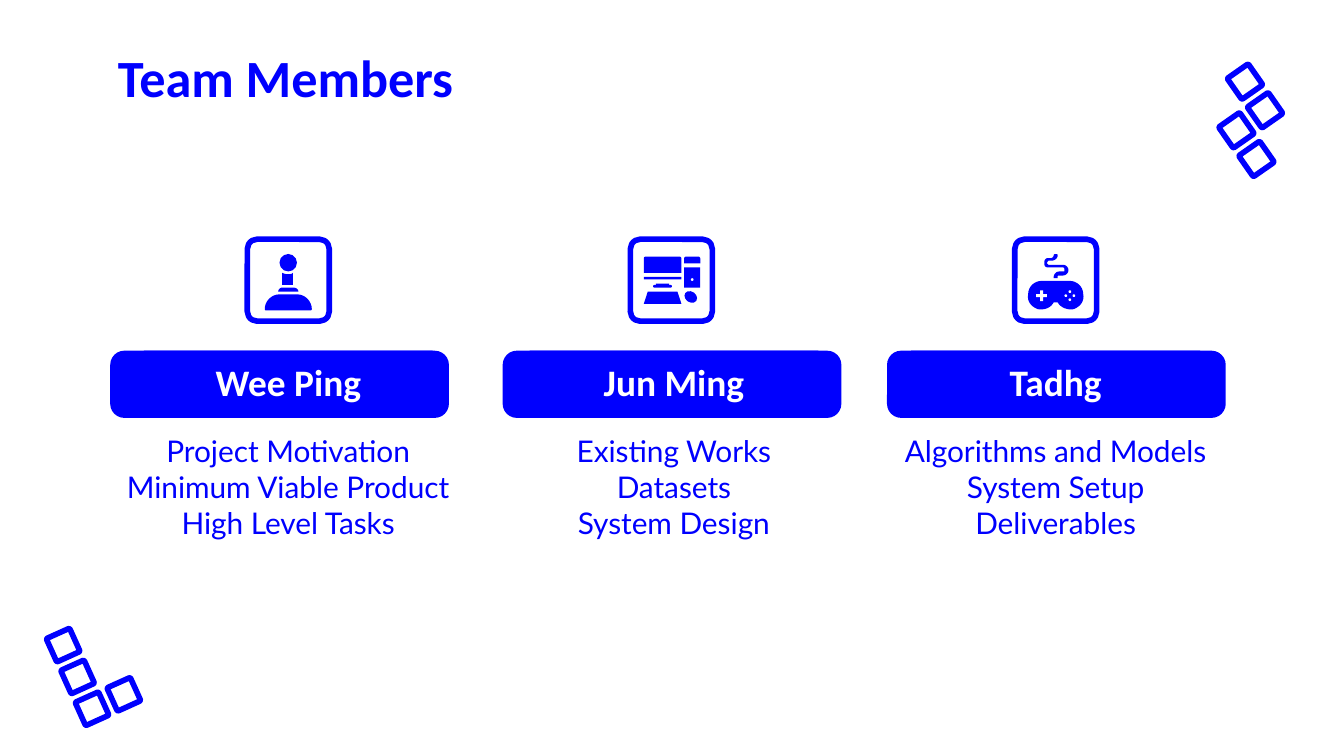
import math
from pptx import Presentation
from pptx.dml.color import RGBColor
from pptx.enum import shapes, text
from pptx.util import Emu, Inches, Pt

BLUE = RGBColor(0x00, 0x00, 0xFE)
WHITE = RGBColor(0xFF, 0xFF, 0xFF)
KIND = shapes.MSO_SHAPE
CENTER = text.PP_ALIGN.CENTER

# Icon outlines in hundredths of an inch: pairs are lines, sixes are curves
COLLAR = [(26, 36), (25, 36, 23, 37, 23, 39), (38, 39), (38, 37, 36, 36, 34, 36)]
BASE = [(24, 41), (18, 41, 13, 46, 13, 52), (13, 53, 14, 53, 14, 53), (46, 53),
        (47, 53, 48, 53, 48, 52), (48, 46, 43, 41, 37, 41)]
NECK = [(26, 25), (26, 34), (34, 34), (34, 25), (33, 26, 32, 26, 30, 26),
        (29, 26, 28, 26, 26, 25)]
GAMEPAD = [(41, 31), (20, 31), (15, 31, 10, 35, 10, 41), (9, 46, 12, 50, 17, 52),
           (22, 53, 27, 51, 29, 47), (32, 47), (34, 51, 40, 53, 44, 52),
           (49, 50, 52, 46, 51, 41), (51, 35, 46, 31, 41, 31)]
CABLE = [(25, 21), (36, 21), (37, 21, 37, 22, 37, 23), (37, 24, 37, 24, 36, 24),
         (33, 24), (31, 24, 29, 26, 29, 28), (29, 29), (32, 29), (32, 28),
         (32, 27, 32, 27, 33, 27), (36, 27), (38, 27, 40, 25, 40, 23),
         (40, 21, 38, 19, 36, 19), (25, 19), (25, 19, 24, 18, 24, 18),
         (24, 17, 25, 16, 25, 16), (27, 16), (30, 16, 32, 14, 32, 12),
         (32, 11, 31, 11, 31, 11), (30, 11, 29, 11, 29, 12),
         (29, 13, 28, 14, 27, 14), (25, 14), (23, 14, 22, 15, 22, 18),
         (22, 20, 23, 21, 25, 21)]


def paint(shape, color):
    shape.shadow.inherit = False
    shape.fill.solid()
    shape.fill.fore_color.rgb = color
    shape.line.fill.background()


def add_solid(slide, kind, left, top, width, height, color=BLUE, adj=None):
    shape = slide.shapes.add_shape(
        kind, Inches(left), Inches(top), Inches(width), Inches(height))
    paint(shape, color)
    if adj is not None:
        shape.adjustments[0] = adj
    return shape


def add_frame(slide, left, top, side, adj, rotation=0):
    frame = add_solid(slide, KIND.ROUNDED_RECTANGLE, left, top, side, side, adj=adj)
    frame.fill.background()
    frame.line.color.rgb = BLUE
    frame.line.width = Pt(3)
    frame.rotation = rotation


def add_outline(slide, left, top, outline):
    points = [outline[0]]
    for step in outline[1:]:
        if len(step) == 2:
            points.append(step)
            continue
        corners = [points[-1], step[:2], step[2:4], step[4:]]
        for t in (i / 8 for i in range(1, 9)):
            weights = [math.comb(3, n) * t**n * (1 - t)**(3 - n) for n in range(4)]
            points.append(tuple(sum(w * c[axis] for w, c in zip(weights, corners))
                                for axis in (0, 1)))
    spots = [(Inches(left + x / 100), Inches(top + y / 100)) for x, y in points]
    builder = slide.shapes.build_freeform(*spots[0], scale=1.0)
    builder.add_line_segments(spots[1:], close=True)
    paint(builder.convert_to_shape(Emu(0), Emu(0)), BLUE)


def write(shape, lines, font, size, color, bold=False, align=None,
          anchor=text.MSO_ANCHOR.TOP):
    frame = shape.text_frame
    frame.word_wrap = True
    frame.vertical_anchor = anchor
    frame.margin_left = frame.margin_right = Inches(0.1)
    frame.margin_top = frame.margin_bottom = Inches(0.1)
    for i, line in enumerate(lines):
        paragraph = frame.add_paragraph() if i else frame.paragraphs[0]
        paragraph.alignment = align
        run = paragraph.add_run()
        run.text = line
        run.font.name = font
        run.font.size = Pt(size)
        run.font.bold = bold
        run.font.color.rgb = color


def add_textbox(slide, left, top, width, height):
    return slide.shapes.add_textbox(
        Inches(left), Inches(top), Inches(width), Inches(height))


def draw_joystick(slide, left, top):
    add_solid(slide, KIND.OVAL, left + 0.24, top + 0.11, 0.13, 0.13)
    for part in (NECK, COLLAR, BASE):
        add_outline(slide, left, top, part)


def draw_computer(slide, left, top):
    rounded_top = KIND.ROUND_2_SAME_RECTANGLE
    for kind, x, y, width, height, adj in (
            (rounded_top, 0.1, 0.13, 0.28, 0.12, 0.1),      # screen
            (KIND.RECTANGLE, 0.1, 0.28, 0.28, 0.02, None),  # screen edge
            (KIND.RECTANGLE, 0.19, 0.33, 0.1, 0.02, None),  # stand
            (KIND.ROUNDED_RECTANGLE, 0.17, 0.34, 0.14, 0.02, 0.5),
            (KIND.TRAPEZOID, 0.1, 0.39, 0.28, 0.09, 0.33),  # keyboard
            (rounded_top, 0.4, 0.13, 0.12, 0.05, 0.25),     # tower
            (KIND.RECTANGLE, 0.4, 0.21, 0.12, 0.15, None)):
        add_solid(slide, kind, left + x, top + y, width, height, adj=adj)
    add_solid(slide, KIND.OVAL, left + 0.45, top + 0.29, 0.02, 0.02, WHITE)
    mouse = add_solid(slide, KIND.OVAL, left + 0.4, top + 0.39, 0.1, 0.08)
    mouse.rotation = 35


def draw_gamepad(slide, left, top):
    add_outline(slide, left, top, CABLE)
    add_outline(slide, left, top, GAMEPAD)
    add_solid(slide, KIND.CROSS, left + 0.16, top + 0.38, 0.08, 0.08, WHITE, 0.36)
    for dx, dy in ((-0.03, 0), (0.03, 0), (0, -0.03), (0, 0.03)):
        add_solid(slide, KIND.OVAL, left + 0.4 + dx, top + 0.41 + dy,
                  0.02, 0.02, WHITE)


def add_member(slide, top, member):
    name, tasks, draw_icon, icon_left, bar_left, text_center = member
    # Icon in its frame
    add_frame(slide, icon_left, top, 0.61, 0.12)
    draw_icon(slide, icon_left, top)
    # Name bar
    add_solid(slide, KIND.ROUNDED_RECTANGLE, bar_left, top + 0.83, 2.52, 0.5, adj=0.21)
    label = add_solid(slide, KIND.RECTANGLE, text_center - 1.07, top + 0.83, 2.15, 0.5)
    write(label, [name], "Calibri", 20, WHITE, True, CENTER, text.MSO_ANCHOR.BOTTOM)
    # Tasks
    box = add_textbox(slide, text_center - 1.33, top + 1.34, 2.67, 1)
    write(box, tasks, "Lato", 16, BLUE, align=CENTER)


def add_blocks(slide, center_x, center_y, angle, cells):
    """Tilted grid of square blocks around the centre of cell (0, 0)."""
    side, pitch = 0.19, 0.26
    cos, sin = math.cos(math.radians(angle)), math.sin(math.radians(angle))
    for column, row in cells:
        x = center_x + pitch * (column * cos - row * sin)
        y = center_y + pitch * (column * sin + row * cos)
        add_frame(slide, x - side / 2, y - side / 2, side, 0.06, angle)


def main():
    deck = Presentation()
    # Widescreen, 16:9
    deck.slide_width = Inches(10)
    deck.slide_height = Inches(10) * 9 // 16
    slide = deck.slides.add_slide(deck.slide_layouts[6])

    title = add_textbox(slide, 0.78, 0.24, 8.44, 0.63)
    write(title, ["Team Members"], "Calibri", 28, BLUE, True)

    # Name, tasks, icon, icon left, bar left, text centre
    members = (
        ("Wee Ping",
         ["Project Motivation", "Minimum Viable Product", "High Level Tasks"],
         draw_joystick, 1.84, 0.82, 2.14),
        ("Jun Ming", ["Existing Works", "Datasets", "System Design"],
         draw_computer, 4.69, 3.74, 5.01),
        ("Tadhg", ["Algorithms and Models", "System Setup", "Deliverables"],
         draw_gamepad, 7.55, 6.6, 7.85),
    )
    for member in members:
        add_member(slide, 1.78, member)

    # Corner blocks
    add_blocks(slide, 9.2, 0.97, 55, ((0, 0), (1, 0), (0, -1), (-1, -1)))
    add_blocks(slide, 0.47, 4.8, -24.4, ((0, 0), (0, 1), (0, 2), (1, 2)))
    deck.save("out.pptx")


if __name__ == "__main__":
    main()
